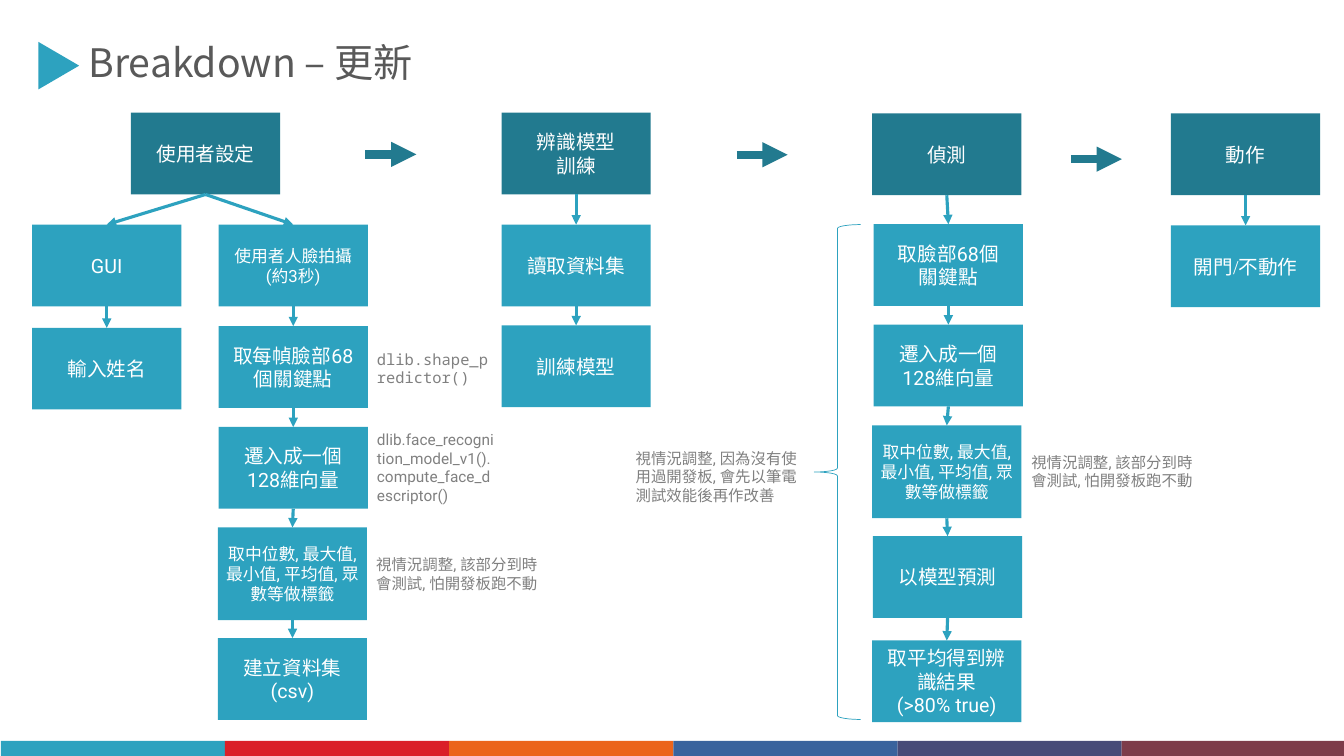
"""Build the breakdown slide: four flow lanes with notes."""
from dataclasses import dataclass
from itertools import pairwise

from lxml import etree
from pptx import Presentation
from pptx.dml.color import RGBColor
from pptx.enum.shapes import MSO_CONNECTOR, MSO_SHAPE
from pptx.enum.text import MSO_ANCHOR, MSO_AUTO_SIZE, PP_ALIGN
from pptx.oxml.ns import qn
from pptx.shapes.autoshape import Shape
from pptx.shapes.connector import Connector
from pptx.slide import Slide
from pptx.text.text import TextFrame
from pptx.util import Cm, Pt

RECT, BRACE, WEDGE = MSO_SHAPE.RECTANGLE, MSO_SHAPE.LEFT_BRACE, MSO_SHAPE.ISOSCELES_TRIANGLE
LINE = MSO_CONNECTOR.STRAIGHT
LEFT, MID = PP_ALIGN.LEFT, PP_ALIGN.CENTER
TOP, CENTER = MSO_ANCHOR.TOP, MSO_ANCHOR.MIDDLE
FIXED, GROW = MSO_AUTO_SIZE.NONE, MSO_AUTO_SIZE.SHAPE_TO_FIT_TEXT


@dataclass(frozen=True)
class Theme:
    teal: str = "2DA2BF"
    dark: str = "227A8F"
    white: str = "FFFFFF"
    gray: str = "808080"
    ink: str = "595959"
    bars: tuple[str, ...] = ("2DA2BF", "DA1F28", "EB641B", "39639D", "474B78", "7D3C4A")
    sans: str = "Roboto"
    mono: str = "Noto Sans Mono"
    serif: str = "Times New Roman"
    asian: str = "Noto Sans CJK SC"
    head: float = 28
    body: float = 14
    small: float = 12
    note: float = 11
    thin: float = 0.5
    mean: float = 2.25
    bold: float = 6


T = Theme()
WIDE = (0.25, 0.13)
SNUG = (0.2, 0.13)
TIGHT = (0.1, 0.1)


@dataclass(frozen=True)
class Step:
    text: str
    x: float
    y: float
    high: float = 2.06
    size: float = T.body
    pad: tuple[float, float] = WIDE
    font: str = T.sans
    fill: str = T.teal


@dataclass(frozen=True)
class Note:
    text: str
    x: float
    y: float
    wide: float
    high: float
    font: str = T.sans


STATS = "取中位數, 最大值, 最小值, 平均值, 眾數等做標籤"
VECTOR = "遷入成一個128維向量"
DOUBT = "視情況調整, 該部分到時會測試, 怕開發板跑不動"

SETUP = Step("使用者設定", 3.3, 2.84, fill=T.dark)
FORKS = (
    (
        Step("GUI", 0.81, 5.66),
        Step("輸入姓名", 0.81, 8.26),
    ),
    (
        Step("使用者人臉拍攝\n(約3秒)", 5.51, 5.66, size=T.small, pad=SNUG),
        Step("取每幀臉部68個關鍵點", 5.51, 8.22),
        Step(VECTOR, 5.51, 10.76),
        Step(STATS, 5.49, 13.29, 2.34, T.small, TIGHT),
        Step("建立資料集\n(csv)", 5.49, 16.08),
    ),
)
LANES = (
    (
        Step("辨識模型\n訓練", 12.64, 2.84, fill=T.dark),
        Step("讀取資料集", 12.64, 5.66, pad=SNUG),
        Step("訓練模型", 12.64, 8.2, pad=SNUG),
    ),
    (
        Step("偵測", 21.98, 2.86, fill=T.dark),
        Step("取臉部68個\n關鍵點", 22.02, 5.65),
        Step(VECTOR, 22.02, 8.18),
        Step(STATS, 21.98, 10.72, 2.34, T.small, TIGHT),
        Step("以模型預測", 22, 13.51),
        Step("取平均得到辨識結果\n(>80% true)", 21.98, 16.14),
    ),
    (
        Step("動作", 29.51, 2.86, fill=T.dark),
        Step("開門/不動作", 29.51, 5.68, font=T.serif),
    ),
)
NOTES = (
    Note("dlib.shape_predictor()", 9.25, 8.69, 3.5, 1.2, T.mono),
    Note("dlib.face_recognition_model_v1().compute_face_descriptor()", 9.25, 10.72, 3.5, 2.13),
    Note(DOUBT, 9.23, 13.87, 4.8, 1.2),
    Note(DOUBT, 25.74, 11.28, 4.8, 1.2),
    Note("視情況調整, 因為沒有使用過開發板, 會先以筆電測試效能後再作改善", 15.77, 11.18, 4.75, 1.67),
)
JUMPS = ((9.21, 3.89), (18.57, 3.9), (26.99, 4.01))


def write(frame: TextFrame, text: str, *, size: float, color: str, font: str = T.sans,
          align: PP_ALIGN = LEFT, anchor: MSO_ANCHOR = TOP,
          pad: tuple[float, float] = WIDE, fit: MSO_AUTO_SIZE = FIXED) -> None:
    """Fill a text frame, one paragraph a line."""
    frame.text = text
    frame.word_wrap = True
    frame.auto_size = fit
    frame.vertical_anchor = anchor
    frame.margin_left = frame.margin_right = Cm(pad[0])
    frame.margin_top = frame.margin_bottom = Cm(pad[1])
    for para in frame.paragraphs:
        para.alignment = align
        for run in para.runs:
            run.font.size = Pt(size)
            run.font.color.rgb = RGBColor.from_string(color)
            run.font.name = font
            east = etree.SubElement(run.font._element, qn("a:ea"))
            east.set("typeface", T.asian)


def block(slide: Slide, kind: MSO_SHAPE, x: float, y: float, wide: float, high: float,
          fill: str) -> Shape:
    """Add a filled preset shape with no line."""
    shape = slide.shapes.add_shape(kind, Cm(x), Cm(y), Cm(wide), Cm(high))
    shape.shadow.inherit = False
    shape.fill.solid()
    shape.fill.fore_color.rgb = RGBColor.from_string(fill)
    shape.line.fill.background()
    return shape


def box(slide: Slide, step: Step) -> Shape:
    """Add one step of a lane."""
    shape = block(slide, RECT, step.x, step.y, 3.76, step.high, step.fill)
    write(shape.text_frame, step.text, size=step.size, color=T.white, font=step.font,
          align=MID, anchor=CENTER, pad=step.pad)
    return shape


def arrow(slide: Slide, color: str, width: float, x: float = 0, y: float = 0,
          run: float = 0) -> Connector:
    """Add a level arrow."""
    link = slide.shapes.add_connector(LINE, Cm(x), Cm(y), Cm(x + run), Cm(y))
    link.line.color.rgb = RGBColor.from_string(color)
    link.line.width = Pt(width)
    etree.SubElement(link.line._get_or_add_ln(), qn("a:tailEnd")).set("type", "triangle")
    etree.SubElement(link._element.spPr, qn("a:effectLst"))
    return link


def join(slide: Slide, start: Shape, end: Shape) -> None:
    """Link the foot of one box to the top of the next."""
    link = arrow(slide, T.teal, T.mean)
    link.begin_connect(start, 2)
    link.end_connect(end, 0)


def chain(slide: Slide, steps: tuple[Step, ...]) -> Shape:
    """Draw a lane and return its first box."""
    boxes = [box(slide, step) for step in steps]
    for start, end in pairwise(boxes):
        join(slide, start, end)
    return boxes[0]


def label(slide: Slide, note: Note) -> None:
    """Add a gray side note."""
    shape = slide.shapes.add_textbox(Cm(note.x), Cm(note.y), Cm(note.wide), Cm(note.high))
    write(shape.text_frame, note.text, size=T.note, color=T.gray, font=note.font, fit=GROW)


def main() -> None:
    """Build and save the slide."""
    deck = Presentation()
    deck.slide_width, deck.slide_height = Cm(33.87), Cm(19.05)
    slide = deck.slides.add_slide(deck.slide_layouts[5])
    title = slide.shapes.title
    title.left, title.top, title.width, title.height = Cm(1.98), Cm(0.84), Cm(9.32), Cm(1.45)
    write(title.text_frame, "Breakdown – 更新", size=T.head, color=T.ink, font=T.asian)
    block(slide, WEDGE, 0.88, 1.14, 1.2, 1.03, T.teal).rotation = 90
    for spot, color in enumerate(T.bars):
        block(slide, RECT, 0.02 + spot * 5.65, 18.67, 5.65, 0.38, color)

    setup = box(slide, SETUP)
    for fork in FORKS:
        join(slide, setup, chain(slide, fork))
    for lane in LANES:
        chain(slide, lane)
    for x, y in JUMPS:
        arrow(slide, T.dark, T.bold, x, y, 1.28)
    brace = block(slide, BRACE, 20.52, 5.66, 1.17, 12.47, T.white)
    brace.fill.background()
    brace.line.color.rgb = RGBColor.from_string(T.teal)
    brace.line.width = Pt(T.thin)
    for note in NOTES:
        label(slide, note)
    deck.save("out.pptx")


if __name__ == "__main__":
    main()
